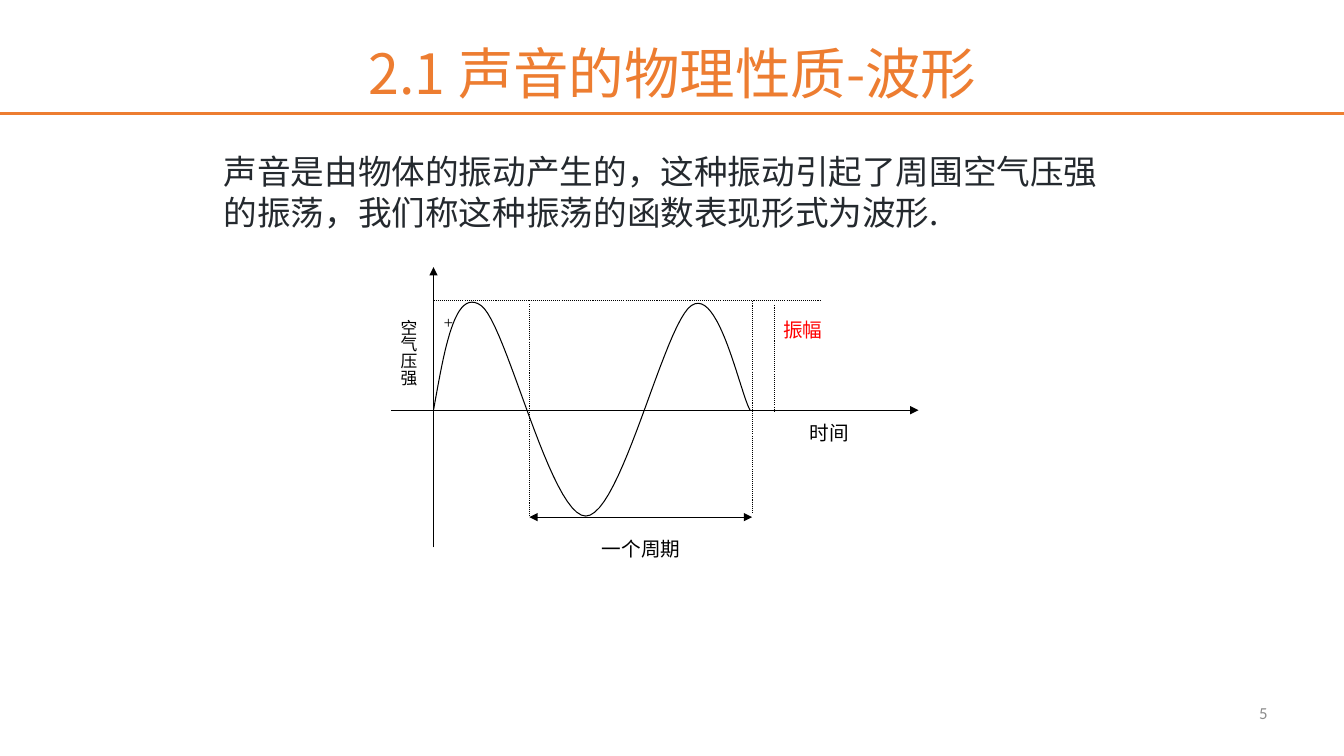
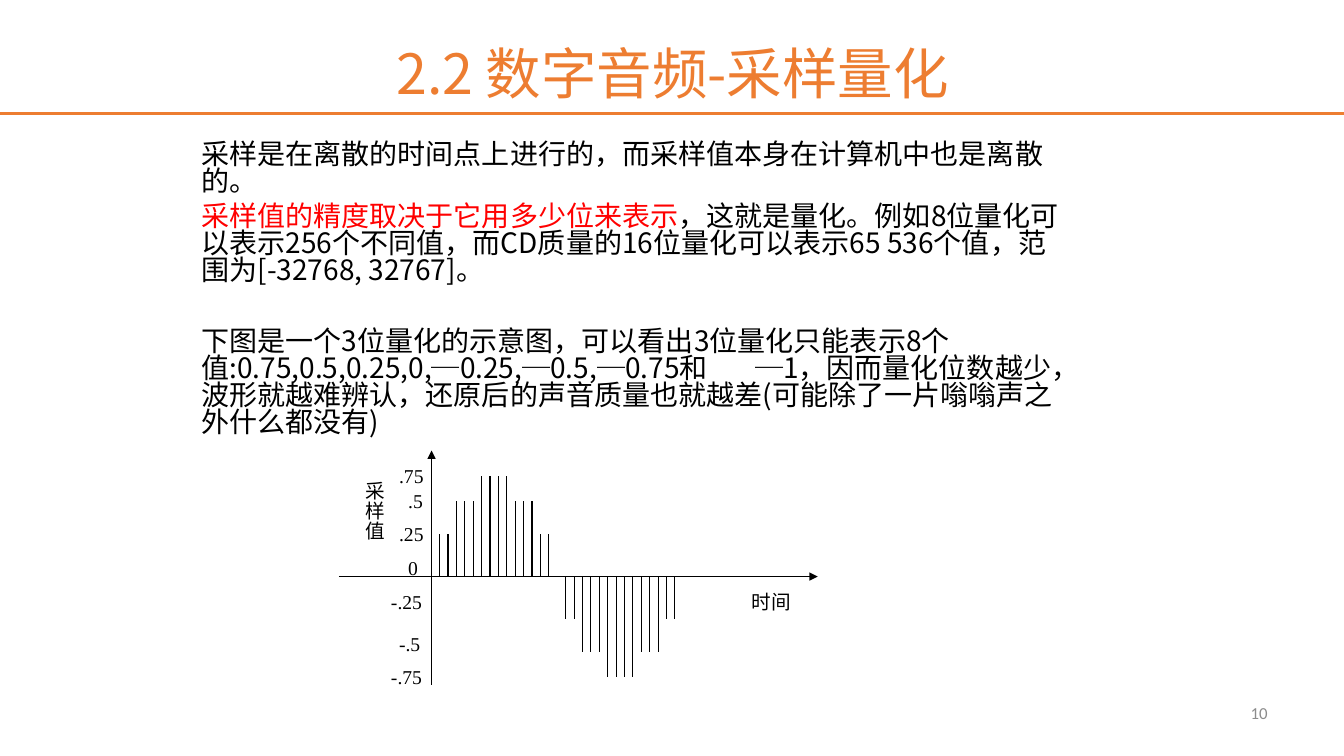
from lxml import etree
from pptx import Presentation
from pptx.dml.color import RGBColor
from pptx.enum.dml import MSO_LINE
from pptx.enum.shapes import MSO_CONNECTOR
from pptx.enum.text import MSO_ANCHOR, MSO_AUTO_SIZE, PP_ALIGN
from pptx.oxml.ns import qn
from pptx.util import Inches, Pt

STRAIGHT = MSO_CONNECTOR.STRAIGHT
DOTTED = MSO_LINE.ROUND_DOT
MIDDLE = MSO_ANCHOR.MIDDLE
GROW, FIXED = MSO_AUTO_SIZE.SHAPE_TO_FIT_TEXT, MSO_AUTO_SIZE.NONE
CENTER, RIGHT = PP_ALIGN.CENTER, PP_ALIGN.RIGHT

rgb = RGBColor.from_string
ORANGE, RED, BLACK, INK, GRAY = "ED7D31", "FF0000", "000000", "24292E", "8C8C8C"
CJK, LATIN, SERIF = "Noto Sans CJK SC", "Calibri", "Times New Roman"

TITLE_FMT = {"vertical_anchor": MIDDLE, "auto_size": FIXED, "margin_left": Inches(0.1),
             "margin_right": Inches(0.1), "margin_top": 0, "margin_bottom": Inches(0.05)}
NUMBER_FMT = {"vertical_anchor": MIDDLE}
BODY_FMT = {"auto_size": GROW}


def text(sp, box, paras, font, size, fmt, vertical=False, para_fmts=({},)):
    sp.left, sp.top, sp.width, sp.height = map(Inches, box)
    tf = sp.text_frame
    tf.word_wrap = True
    for name, value in fmt.items():
        setattr(tf, name, value)
    if vertical:
        tf._txBody.bodyPr.set("vert", "eaVert")
    for i, runs in enumerate(paras):
        p = tf.add_paragraph() if i else tf.paragraphs[0]
        for name, value in para_fmts[i % len(para_fmts)].items():
            setattr(p, name, value)
        for words, color in runs:
            r = p.add_run()
            r.text = words
            r.font.size = Pt(size)
            r.font.name = font
            r.font.color.rgb = rgb(color)
            if font == CJK:
                etree.SubElement(r._r.get_or_add_rPr(), qn("a:ea")).set("typeface", font)
    return tf


def line(s, x1, y1, x2, y2, color=BLACK, width=0.75, dash=None, ends=()):
    sp = s.shapes.add_connector(STRAIGHT, *map(Inches, (x1, y1, x2, y2)))
    sp.line.color.rgb = rgb(color)
    sp.line.width = Pt(width)
    if dash:
        sp.line.dash_style = dash
    for end in ends:
        etree.SubElement(sp.line._get_or_add_ln(), qn(f"a:{end}")).set("type", "triangle")
    etree.SubElement(sp._element.spPr, qn("a:effectLst"))


prs = Presentation()
prs.slide_width, prs.slide_height = Inches(13.33), Inches(7.5)

slides = []
for title, number in [("2.1 声音的物理性质-波形", "5"), ("2.2 数字音频-采样量化", "10")]:
    s = prs.slides.add_slide(prs.slide_layouts[5])
    text(s.shapes.title, (2.17, 0.36, 9, 0.77), [[(title, ORANGE)]], CJK, 39.6,
         TITLE_FMT, para_fmts=[{"alignment": CENTER}])
    text(s.shapes.add_textbox(0, 0, 0, 0), (11.12, 6.87, 1.55, 0.4), [[(number, GRAY)]],
         LATIN, 12, NUMBER_FMT, para_fmts=[{"alignment": RIGHT}])
    line(s, 0, 1.13, 13.33, 1.13, ORANGE, 2.25)
    slides.append(s)
wave, sampling = slides

text(wave.shapes.add_textbox(0, 0, 0, 0), (2.12, 1.45, 9.09, 0.91),
     [[("声音是由物体的振动产生的，这种振动引起了周围空气压强的振荡，"
        "我们称这种振荡的函数表现形式为波形.", INK)]], CJK, 24, BODY_FMT)

line(wave, 3.88, 4.07, 9.11, 4.07, ends=["tailEnd"])
line(wave, 4.3, 5.43, 4.3, 2.65, ends=["tailEnd"])
line(wave, 5.25, 5.13, 7.46, 5.13, ends=["headEnd", "tailEnd"])
for guide in [(4.3, 2.98, 8.13, 2.98), (5.25, 3.02, 5.25, 5.11),
              (7.46, 2.99, 7.46, 5.09), (7.68, 3.03, 7.68, 4.08)]:
    line(wave, *guide, dash=DOTTED)

start = (4.3, 4.07)
curves = [
    ((4.41, 3.46), (4.51, 2.85), (4.77, 3.03)),
    ((5.02, 3.2), (5.46, 5.12), (5.81, 5.12)),
    ((6.16, 5.12), (6.59, 3.2), (6.86, 3.03)),
    ((7.13, 2.85), (7.34, 3.9), (7.44, 4.07)),
]
steps = 24
points = []
a = start
for b, c, d in curves:
    for i in range(1, steps + 1):
        t = i / steps
        u = 1 - t
        points.append([Inches(u**3 * a[k] + 3 * u * u * t * b[k] + 3 * u * t * t * c[k] + t**3 * d[k])
                       for k in (0, 1)])
    a = d
builder = wave.shapes.build_freeform(*map(Inches, start))
builder.add_line_segments(points, close=False)
sp = builder.convert_to_shape()
sp.shadow.inherit = False
sp.fill.background()
sp.line.color.rgb = rgb(BLACK)
sp.line.width = Pt(0.75)

paras = [
    [("采样是在离散的时间点上进行的，而采样值本身在计算机中也是离散的。", BLACK)],
    [("采样值的精度取决于它用多少位来表示", RED),
     ("，这就是量化。例如8位量化可以表示256个不同值，而CD质量的16位量化可以表示65 536个值，"
      "范围为[-32768, 32767]。", BLACK)],
    [("下图是一个3位量化的示意图，可以看出3位量化只能表示8个值:0.75,0.5,0.25,0,─0.25,─0.5,─0.75和\t─1，"
      "因而量化位数越少，波形就越难辨认，还原后的声音质量也就越差(可能除了一片嗡嗡声之外什么都没有)", BLACK)],
]
para_fmts = [{"line_spacing": 0.8, "space_after": Pt(after)} for after in (6, 31.5, 6)]
tf = text(sampling.shapes.add_textbox(0, 0, 0, 0), (1.9, 1.37, 8.79, 3.05), paras, CJK, 20,
          BODY_FMT, para_fmts=para_fmts)
tabs = etree.SubElement(tf.paragraphs[-1]._p.get_or_add_pPr(), qn("a:tabLst"))
tab = etree.SubElement(tabs, qn("a:tab"))
tab.set("pos", str(Inches(5.49)))
tab.set("algn", "l")

axis_y = 5.72
line(sampling, 3.36, axis_y, 8.11, axis_y, ends=["tailEnd"])
line(sampling, 4.28, 4.47, 4.28, 6.8, ends=["headEnd"])

gap = 1 / 12
heights = [0.42] * 2 + [0.75] * 3 + [1] * 4 + [0.75] * 3 + [0.42] * 2
for left, sign in [(4.36, -1), (5.61, 1)]:
    for i, height in enumerate(heights):
        x = left + i * gap
        line(sampling, x, axis_y, x, axis_y + sign * height)

ticks = [(".75", 3.86, 4.55), (".5", 3.95, 4.8), (".25", 3.86, 5.13), ("0", 3.95, 5.47),
         ("-.25", 3.78, 5.8), ("-.5", 3.86, 6.22), ("-.75", 3.78, 6.55)]
labels = [
    (wave, "振幅", (7.67, 3.1, 0.83, 0.34), 14, RED, False),
    (wave, "时间", (7.93, 4.13, 0.85, 0.34), 14, BLACK, False),
    (wave, "空气压强", (3.8, 3.07, 0.4, 1.08), 12, BLACK, True),
    (wave, "一个周期", (5.87, 5.28, 1.38, 0.34), 14, BLACK, False),
    (wave, "+", (4.21, 3.06, 0.4, 0.27), 12, BLACK, True),
    (sampling, "时间", (7.36, 5.8, 0.85, 0.34), 14, BLACK, False),
    (sampling, "采样值", (3.44, 4.68, 0.44, 0.85), 14, BLACK, True),
]
labels += [(sampling, words, (x, y, 0.6, 0.33), 14, BLACK, False) for words, x, y in ticks]
for s, words, box, size, color, vertical in labels:
    text(s.shapes.add_textbox(0, 0, 0, 0), box, [[(words, color)]], SERIF, size, BODY_FMT, vertical)

prs.save("out.pptx")
